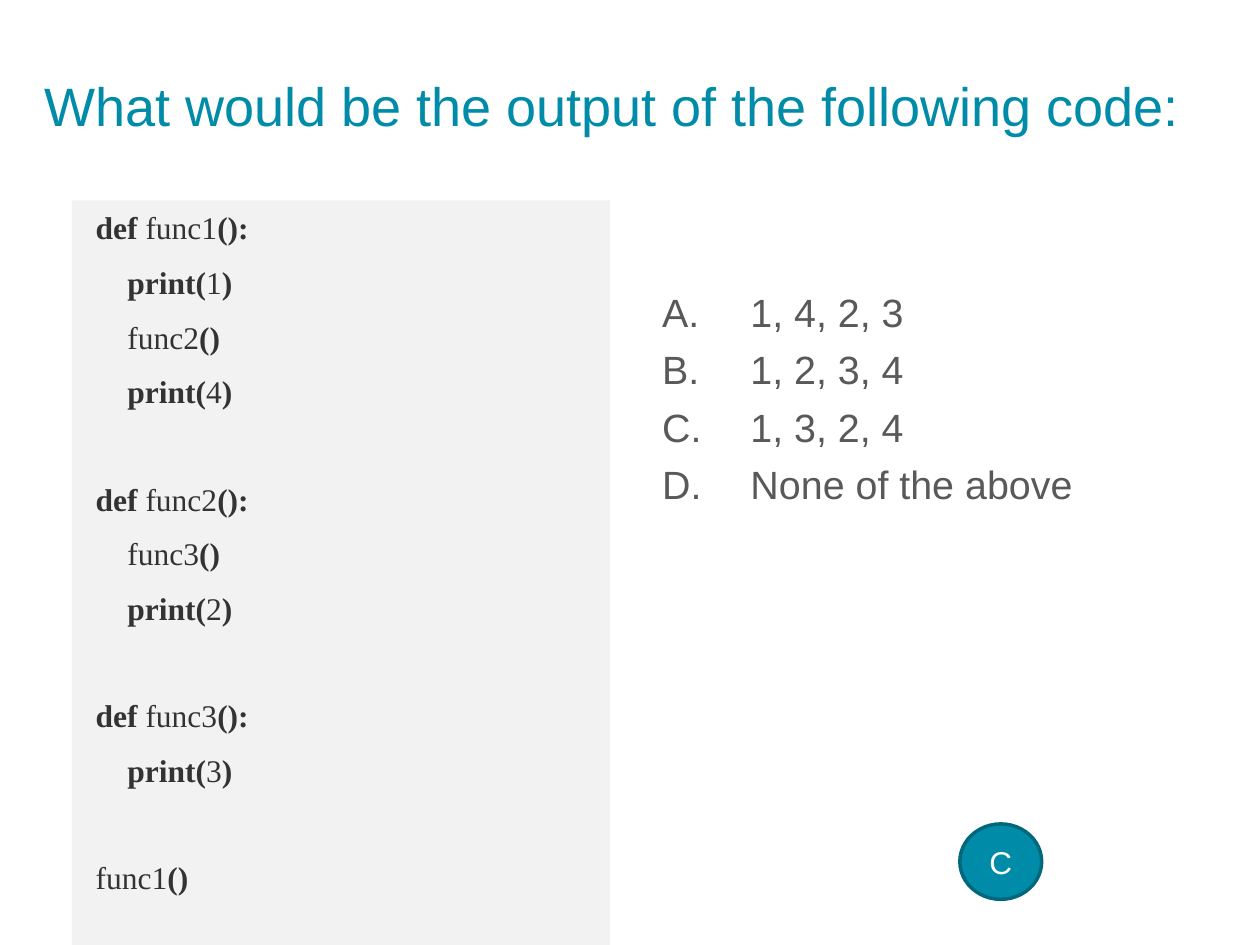
"""Build a quiz slide with a code listing, four answer options and the answer key."""
from lxml import etree
from pptx import Presentation
from pptx import util as u
from pptx.dml.color import RGBColor
from pptx.enum import shapes, text
from pptx.oxml.ns import qn

COLORS = {"teal": "008CA8", "dark_teal": "00687C", "grey": "595959",
          "code": "333333", "panel": "F2F2F2", "white": "FFFFFF"}


def rgb(name):
    return RGBColor.from_string(COLORS[name])


def style(run, size, color, face="Arial", bold=False):
    run.font.size = u.Pt(size)
    run.font.name = face
    run.font.bold = bold
    run.font.color.rgb = rgb(color)


deck = Presentation()
deck.slide_width, deck.slide_height = u.Cm(25.4), u.Cm(19.05)
slide = deck.slides.add_slide(deck.slide_layouts[5])

question = slide.shapes.title
question.left, question.top = u.Cm(0.64), u.Cm(0.53)
question.width, question.height = u.Cm(23.52), u.Cm(3.18)
question.text_frame.text = "What would be the output of the following code:"
question.text_frame.vertical_anchor = text.MSO_ANCHOR.MIDDLE
question.text_frame.margin_right = 0
question.text_frame.paragraphs[0].alignment = text.PP_ALIGN.LEFT
style(question.text_frame.paragraphs[0].runs[0], 30.9, "teal")

options = slide.shapes.add_textbox(u.Cm(12.88), u.Cm(5.61), u.Cm(11.81), u.Cm(4.9))
options.text_frame.word_wrap = True
options.text_frame.margin_top = u.Cm(0.2)
options.text_frame.text = "1, 4, 2, 3\n1, 2, 3, 4\n1, 3, 2, 4\nNone of the above"
for number, option in enumerate(options.text_frame.paragraphs):
    option.space_before = u.Pt(5.7 if number else 0)
    style(option.runs[0], 22.5, "grey")
    properties = option._p.get_or_add_pPr()
    properties.set("marL", str(u.Cm(2)))
    properties.set("indent", str(u.Cm(-1.78)))
    etree.SubElement(properties, qn("a:buFont"), typeface="Arial")
    etree.SubElement(properties, qn("a:buAutoNum"), type="alphaUcPeriod")

listing = slide.shapes.add_shape(shapes.MSO_SHAPE.RECTANGLE,
                                 u.Cm(1.45), u.Cm(4.04), u.Cm(10.85), u.Cm(15.01))
listing.shadow.inherit = False
listing.fill.solid()
listing.fill.fore_color.rgb = rgb("panel")
listing.line.fill.background()
listing.text_frame.vertical_anchor = text.MSO_ANCHOR.TOP

functions = [
    [["*def", " func1", "*():"], ["*print(", "1", "*)"], ["func2", "*()"], ["*print(", "4", "*)"]],
    [["*def", " func2", "*():"], ["func3", "*()"], ["*print(", "2", "*)"]],
    [["*def", " func3", "*():"], ["*print(", "3", "*)"]],
    [["func1", "*()"]],
]
for block, statements in enumerate(functions):
    for row, tokens in enumerate(statements):
        first = block == row == 0
        statement = listing.text_frame.paragraphs[0] if first else listing.text_frame.add_paragraph()
        statement.alignment = text.PP_ALIGN.LEFT
        statement.line_spacing = 1.05
        statement.space_before = u.Pt(38.7 if block and row == 0 else 8.5)
        statement._p.get_or_add_pPr().set("marL", str(u.Cm(0.87 if row else 0.23)))
        for token in tokens:
            piece = statement.add_run()
            piece.text = token.lstrip("*")
            style(piece, 18, "code", "Times New Roman", token.startswith("*"))

answer = slide.shapes.add_shape(shapes.MSO_SHAPE.OVAL,
                                u.Cm(19.35), u.Cm(16.61), u.Cm(1.65), u.Cm(1.52))
answer.shadow.inherit = False
answer.fill.solid()
answer.fill.fore_color.rgb = rgb("teal")
answer.line.color.rgb = rgb("dark_teal")
answer.line.width = u.Pt(2)
answer.text_frame.text = "C"
answer.text_frame.vertical_anchor = text.MSO_ANCHOR.MIDDLE
answer.text_frame.paragraphs[0].alignment = text.PP_ALIGN.CENTER
style(answer.text_frame.paragraphs[0].runs[0], 18, "white")

deck.save("out.pptx")
